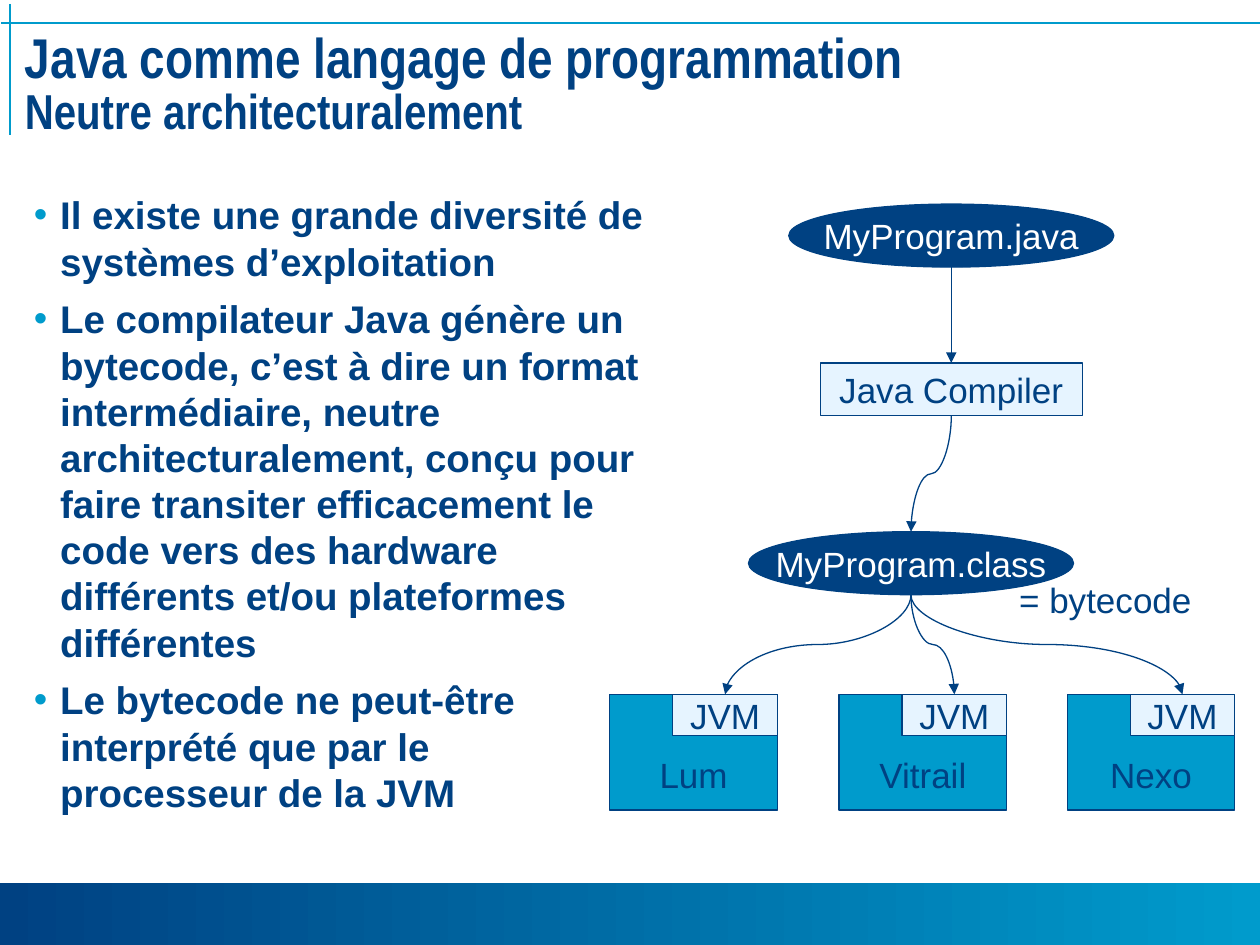
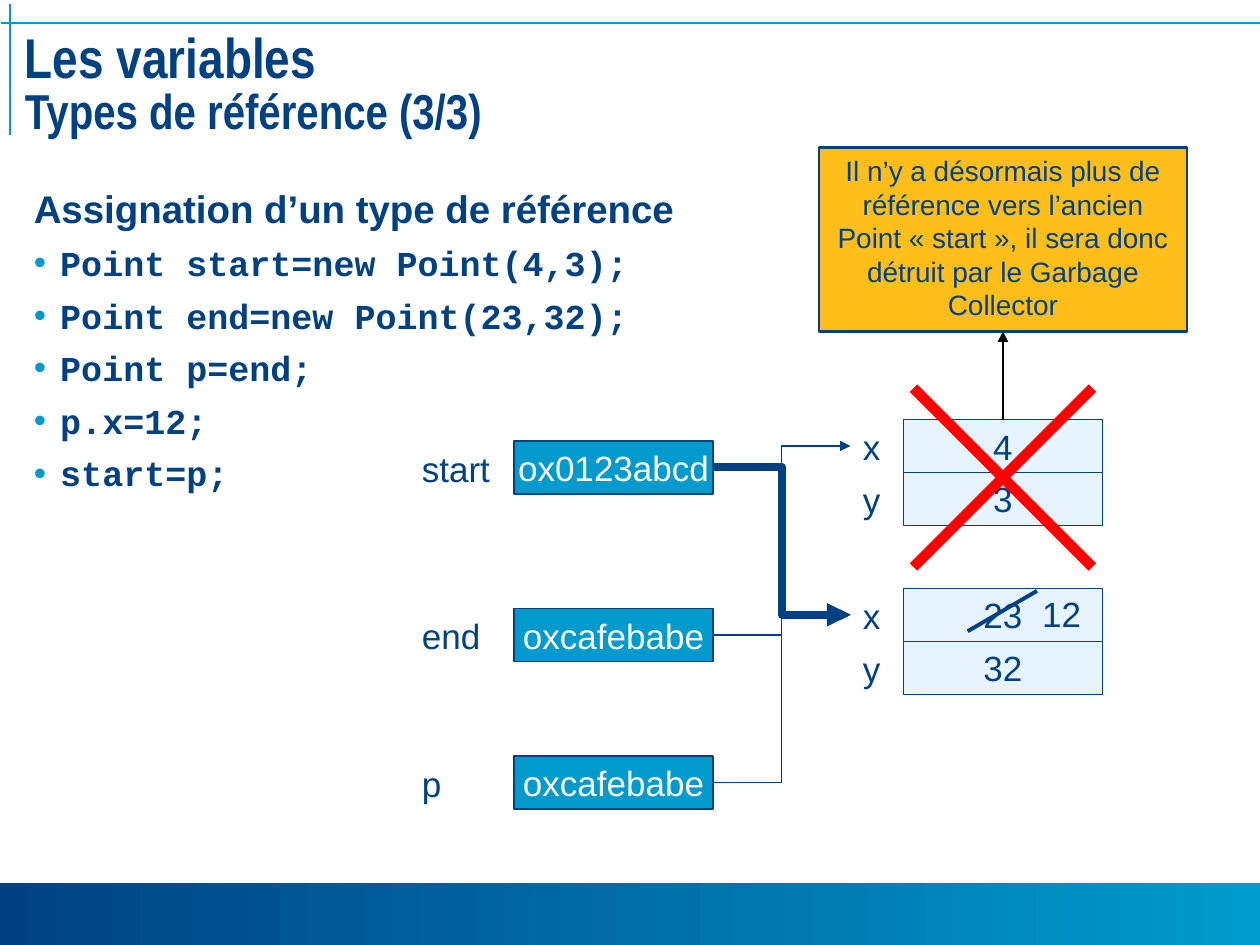
from typing import NamedTuple

from lxml import etree
from pptx import Presentation
from pptx.dml.color import RGBColor
from pptx.enum.shapes import MSO_CONNECTOR as Link, MSO_SHAPE as Preset
from pptx.enum.text import MSO_ANCHOR as Anchor, PP_ALIGN as Align
from pptx.oxml.ns import qn
from pptx.util import Inches, Pt

NAVY, CYAN, PALE = "004182", "009BCC", "E6F4FF"
WHITE, BLACK, RED, AMBER = "FFFFFF", "000000", "FF0000", "FFBE19"
BODY_FONT, TITLE_FONT, CODE_FONT = "Arial", "Arial Narrow", "Courier New"
HANGING = Inches(0.21)


class Point(NamedTuple):
    x: float
    y: float


class Box(NamedTuple):
    left: float
    top: float
    width: float
    height: float

    @property
    def bottom(self) -> Point:
        return Point(self.left + self.width / 2, self.top + self.height)

    @property
    def top_middle(self) -> Point:
        return Point(self.left + self.width / 2, self.top)

    @property
    def right_middle(self) -> Point:
        return Point(self.left + self.width, self.top + self.height / 2)

    def lengths(self) -> list:
        return [Inches(value) for value in self]


class BodyLine(NamedTuple):
    text: str
    size: int = 22
    font: str = BODY_FONT
    bullet: bool = True


class Platform(NamedTuple):
    name: str
    left: float


class Variable(NamedTuple):
    name: str
    address: str
    top: float
    target: int


class PointObject(NamedTuple):
    top: float
    values: tuple


def rgb(color: str) -> RGBColor:
    return RGBColor.from_string(color)


def add_text(paragraph, text: str, *, size: int = 20, font: str = BODY_FONT,
             color: str = NAVY, bold: bool = False, align=None) -> None:
    run = paragraph.add_run()
    run.text = text
    run.font.size = Pt(size)
    run.font.name = font
    run.font.bold = bold
    run.font.color.rgb = rgb(color)
    if align is not None:
        paragraph.alignment = align


def add_text_box(slide, box: Box):
    frame = slide.shapes.add_textbox(*box.lengths()).text_frame
    frame.word_wrap = True
    return frame


def add_label(slide, box: Box, text: str, **text_format) -> None:
    add_text(add_text_box(slide, box).paragraphs[0], text, **text_format)


def add_filled(slide, box: Box, fill: str, text: str, *, preset=Preset.RECTANGLE,
               line_width: float = 0.75, wrap: bool = False, anchor=Anchor.MIDDLE,
               top_inset: float = 0.05, **text_format):
    shape = slide.shapes.add_shape(preset, *box.lengths())
    shape.shadow.inherit = False
    shape.fill.solid()
    shape.fill.fore_color.rgb = rgb(fill)
    shape.line.color.rgb = rgb(NAVY)
    shape.line.width = Pt(line_width)
    frame = shape.text_frame
    frame.word_wrap = wrap
    frame.vertical_anchor = anchor
    frame.margin_top = Inches(top_inset)
    add_text(frame.paragraphs[0], text, align=Align.CENTER, **text_format)
    return shape


def add_link(slide, start: Point, end: Point, *, kind=Link.STRAIGHT, color: str = NAVY,
             width: float = 0.75, arrow: bool = False):
    ends = [Inches(value) for value in (*start, *end)]
    connector = slide.shapes.add_connector(kind, *ends)
    connector.line.color.rgb = rgb(color)
    connector.line.width = Pt(width)
    properties = connector._element.spPr
    if arrow:
        etree.SubElement(properties.find(qn("a:ln")), qn("a:tailEnd"), type="triangle")
    etree.SubElement(properties, qn("a:effectLst"))
    return connector


def add_falling_curve(slide, start: Point, end: Point) -> None:
    """Draw a curved arrow that leaves and arrives vertically, by turning a sideways one."""
    middle = Point((start.x + end.x) / 2, (start.y + end.y) / 2)
    half_drop, half_shift = (end.y - start.y) / 2, abs(end.x - start.x) / 2
    connector = add_link(slide, Point(middle.x - half_drop, middle.y - half_shift),
                         Point(middle.x + half_drop, middle.y + half_shift),
                         kind=Link.CURVE, arrow=True)
    transform = connector._element.spPr.find(qn("a:xfrm"))
    goes_right = end.x > start.x
    transform.set("rot", str((270 if goes_right else 90) * 60000))
    if goes_right:
        transform.set("flipH", "1")


def add_bullet(paragraph) -> None:
    properties = paragraph._p.get_or_add_pPr()
    properties.set("marL", str(HANGING))
    properties.set("indent", str(-HANGING))
    bullet_color = etree.SubElement(properties, qn("a:buClr"))
    etree.SubElement(bullet_color, qn("a:srgbClr"), val=CYAN)
    etree.SubElement(properties, qn("a:buFont"), typeface=BODY_FONT)
    etree.SubElement(properties, qn("a:buChar"), char="•")


def add_body(slide, box: Box, lines: list) -> None:
    frame = add_text_box(slide, box)
    for index, line in enumerate(lines):
        paragraph = frame.add_paragraph() if index else frame.paragraphs[0]
        paragraph.space_before = Pt(0.3 * line.size if index else 0)
        if line.bullet:
            add_bullet(paragraph)
        add_text(paragraph, line.text, size=line.size, font=line.font, bold=True)


def add_framed_slide(presentation, title: str, subtitle: str):
    """Add a slide with the footer band, the corner rules and a two-line title."""
    slide = presentation.slides.add_slide(presentation.slide_layouts[6])
    band = slide.shapes.add_shape(Preset.RECTANGLE, *Box(0, 7.01, 10, 0.49).lengths())
    band.shadow.inherit = False
    band.line.fill.background()
    band.fill.gradient()
    band.fill.gradient_angle = 0
    for stop, color, position in zip(band.fill.gradient_stops, (NAVY, CYAN), (0, 1)):
        stop.color.rgb = rgb(color)
        stop.position = position
    add_link(slide, Point(0.01, 0.18), Point(10, 0.18), color=CYAN, width=1)
    add_link(slide, Point(0.08, 0.03), Point(0.08, 1.07), color=CYAN, width=1)

    frame = add_text_box(slide, Box(0.1, 0.22, 9.83, 1.01))
    frame.margin_top = frame.margin_bottom = Inches(0.04)
    paragraph = frame.paragraphs[0]
    paragraph.line_spacing = 0.85
    add_text(paragraph, title, size=32, font=TITLE_FONT, bold=True)
    paragraph.add_line_break()
    add_text(paragraph, subtitle, size=28, font=TITLE_FONT, bold=True)
    return slide


def build_architecture_slide(presentation) -> None:
    slide = add_framed_slide(presentation, "Java comme langage de programmation",
                             "Neutre architecturalement")
    add_body(slide, Box(0.17, 1.47, 5.04, 5.35), [
        BodyLine("Il existe une grande diversité de systèmes d’exploitation"),
        BodyLine("Le compilateur Java génère un bytecode, c’est à dire un format "
                 "intermédiaire, neutre architecturalement, conçu pour faire transiter "
                 "efficacement le code vers des hardware différents et/ou plateformes "
                 "différentes"),
        BodyLine("Le bytecode ne peut-être interprété que par le processeur de la JVM"),
    ])
    source_box = Box(6.26, 1.62, 2.58, 0.5)
    class_box = Box(5.94, 4.22, 2.58, 0.5)
    compiler_box = Box(6.51, 2.88, 2.08, 0.42)
    for box, name in ((source_box, "MyProgram.java"), (class_box, "MyProgram.class")):
        add_filled(slide, box, NAVY, name, preset=Preset.OVAL, color=WHITE)
    compiler = add_filled(slide, compiler_box, PALE, "Java Compiler")
    arrow = add_link(slide, source_box.bottom, compiler_box.top_middle, arrow=True)
    arrow.end_connect(compiler, 0)
    add_label(slide, Box(7.99, 4.54, 1.67, 0.43), "= bytecode")
    add_falling_curve(slide, compiler_box.bottom, class_box.top_middle)

    for platform in (Platform("Lum", 4.84), Platform("Vitrail", 6.66), Platform("Nexo", 8.47)):
        add_filled(slide, Box(platform.left, 5.51, 1.33, 0.92), CYAN, platform.name,
                   top_inset=0.4)
        machine_box = Box(platform.left + 0.5, 5.51, 0.83, 0.33)
        add_filled(slide, machine_box, PALE, "JVM")
        add_falling_curve(slide, class_box.bottom, machine_box.top_middle)


def build_reference_slide(presentation) -> None:
    slide = add_framed_slide(presentation, "Les variables", "Types de référence (3/3)")
    code = ("Point start=new Point(4,3);", "Point end=new Point(23,32);",
            "Point p=end;", "p.x=12;", "start=p;")
    add_body(slide, Box(0.17, 1.42, 9.67, 5.08),
             [BodyLine("Assignation d’un type de référence", bullet=False)]
             + [BodyLine(line, 20, CODE_FONT) for line in code])

    cell_width, cell_height = 1.58, 0.42
    points = (PointObject(3.33, ("4", "3")), PointObject(4.67, ("23", "32")))
    cells = []
    for point in points:
        for row, (field, value) in enumerate(zip("xy", point.values)):
            top = point.top + row * cell_height
            cells.append(add_filled(slide, Box(7.17, top, cell_width, cell_height), PALE, value))
            add_label(slide, Box(6.75, top, 0.4, 0.43), field)
    entries = [Point(6.75, point.top + cell_height / 2) for point in points]

    variables = (Variable("start", "ox0123abcd", 3.5, 0),
                 Variable("end", "oxcafebabe", 4.83, 1),
                 Variable("p", "oxcafebabe", 6, 1))
    exits = []
    for variable in variables:
        box = Box(4.08, variable.top, cell_width, cell_height)
        add_filled(slide, box, CYAN, variable.address, color=WHITE)
        add_label(slide, Box(3.25, variable.top, 0.83, 0.43), variable.name)
        add_link(slide, box.right_middle, entries[variable.target], kind=Link.ELBOW, arrow=True)
        exits.append(box.right_middle)

    add_link(slide, Point(7.68, 5.01), Point(8.23, 4.69), width=2.25)
    add_label(slide, Box(8.15, 4.65, 0.55, 0.43), "12", align=Align.CENTER)
    add_link(slide, exits[0], entries[1], kind=Link.ELBOW, width=4.5, arrow=True)

    note_box = Box(6.5, 1.17, 2.92, 1.46)
    note = add_filled(slide, note_box, AMBER,
                      "Il n’y a désormais plus de référence vers l’ancien Point « start », "
                      "il sera donc détruit par le Garbage Collector",
                      size=16, line_width=1.5, wrap=True, anchor=Anchor.TOP)
    arrow = add_link(slide, Point(7.96, 3.33), note_box.bottom, color=BLACK, width=1.5,
                     arrow=True)
    arrow.begin_connect(cells[0], 0)
    arrow.end_connect(note, 2)
    for start_x, end_x in ((7.25, 8.67), (8.67, 7.25)):
        add_link(slide, Point(start_x, 3.08), Point(end_x, 4.5), color=RED, width=6)


def main() -> None:
    presentation = Presentation()
    presentation.slide_width = Inches(10)
    presentation.slide_height = Inches(7.5)
    build_architecture_slide(presentation)
    build_reference_slide(presentation)
    presentation.save("out.pptx")


if __name__ == "__main__":
    main()
